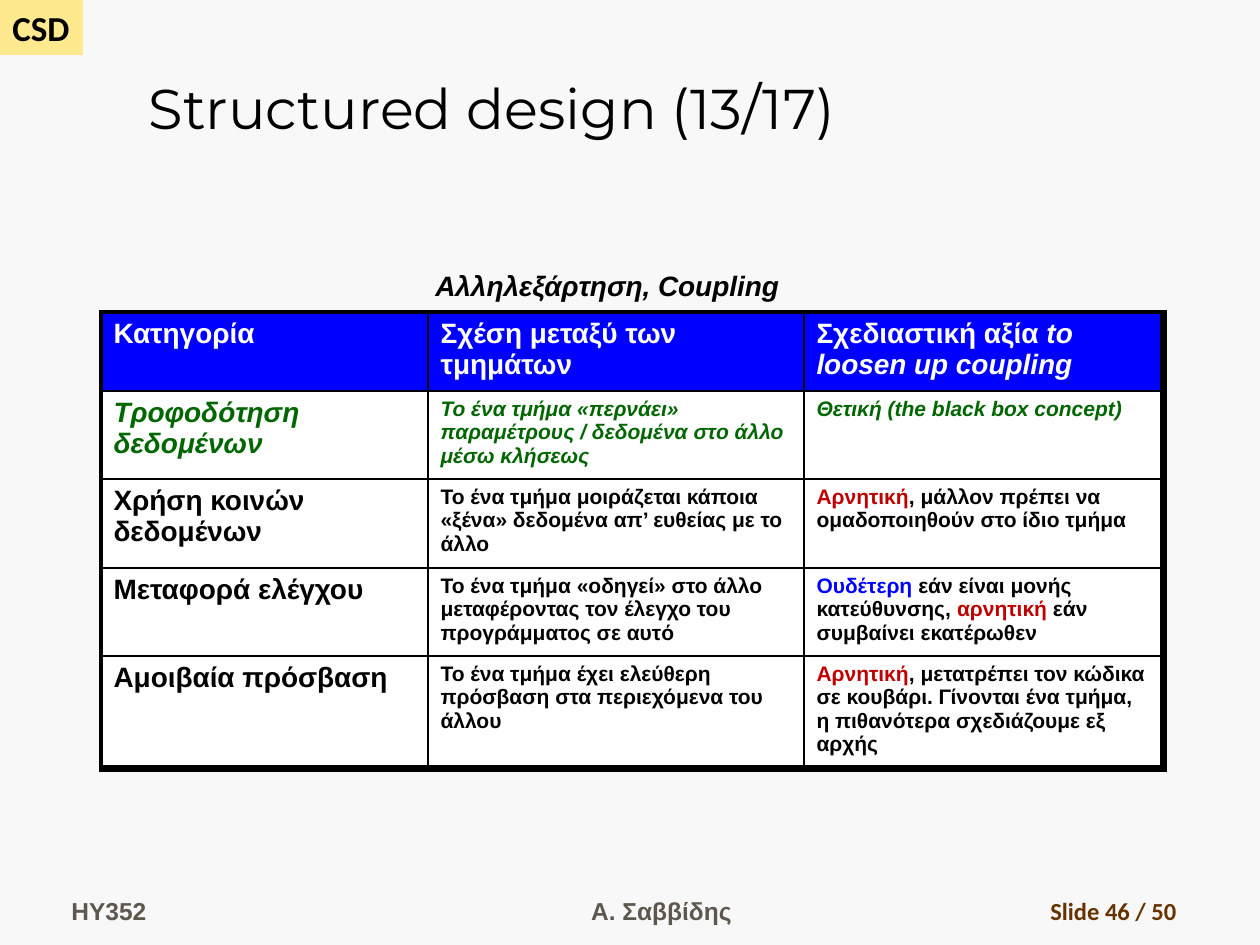
from dataclasses import dataclass
from lxml import etree
from pptx import Presentation
from pptx import util as u
from pptx.dml.color import RGBColor
from pptx.enum import shapes, text
from pptx.oxml.ns import qn

PX = 914400 // 126
ALIGN = text.PP_ALIGN
ANCHOR = text.MSO_ANCHOR


@dataclass(frozen=True)
class Theme:
    """Colours, fonts, type sizes and line widths."""
    back: str = "F8F8F8"
    badge: str = "FFE98F"
    black: str = "000000"
    white: str = "FFFFFF"
    blue: str = "0000FF"
    green: str = "006600"
    red: str = "C00000"
    grey: str = "5E574E"
    brown: str = "663300"
    body: str = "Arial"
    label: str = "Calibri"
    head: str = "Montserrat"
    title: int = 32
    tag: int = 20
    large: int = 16
    foot: int = 14
    small: int = 12
    thin: float = 1
    edge: float = 2.25
    heavy: float = 4.5


class Deck:
    """Holds the theme and the current slide."""

    def __init__(self, theme):
        """Start a one-slide deck with a plain background."""
        self.look = theme
        self.prs = Presentation()
        self.prs.slide_width, self.prs.slide_height = u.Inches(10), u.Inches(7.5)
        self.slide = self.prs.slides.add_slide(self.prs.slide_layouts[5])
        self.paint(self.slide.background.fill, theme.back)

    def paint(self, fill, color):
        """Make a fill solid."""
        fill.solid()
        fill.fore_color.rgb = RGBColor.from_string(color)

    def place(self, shape, box):
        """Move and size a shape in pixels."""
        shape.left, shape.top, shape.width, shape.height = (n * PX for n in box)

    def style(self, run, size, color, font=None, bold=True, italic=False):
        """Format one run."""
        face = run.font
        face.name, face.size = font or self.look.body, u.Pt(size)
        face.bold, face.italic = bold, italic
        face.color.rgb = RGBColor.from_string(color)

    def put(self, frame, words, align=ALIGN.LEFT, anchor=ANCHOR.TOP,
            wrap=True, **kind):
        """Fill a text frame with one formatted line of text."""
        frame.text, frame.word_wrap = words, wrap
        frame.vertical_anchor = anchor
        para = frame.paragraphs[0]
        para.alignment = align
        self.style(para.runs[0], **kind)

    def title(self, words, box):
        """Set the title placeholder."""
        shape = self.slide.shapes.title
        self.place(shape, box)
        self.put(shape.text_frame, words, anchor=ANCHOR.BOTTOM, bold=False,
                 size=self.look.title, color=self.look.black, font=self.look.head)

    def badge(self, words, box):
        """Add the filled corner label."""
        shape = self.slide.shapes.add_shape(
            shapes.MSO_SHAPE.RECTANGLE, *(n * PX for n in box))
        shape.shadow.inherit = False
        shape.line.fill.background()
        self.paint(shape.fill, self.look.badge)
        self.put(shape.text_frame, words, wrap=False, size=self.look.tag,
                 color=self.look.black, font=self.look.label)

    def label(self, words, box, **kind):
        """Add a text box."""
        shape = self.slide.shapes.add_textbox(*(n * PX for n in box))
        self.put(shape.text_frame, words, **kind)

    def border(self, cell, widths):
        """Draw left, right, top and bottom cell borders."""
        props = cell._tc.get_or_add_tcPr()
        for side, width in zip("LRTB", widths):
            line = etree.SubElement(props, qn(f"a:ln{side}"), w=str(u.Pt(width)))
            fill = etree.SubElement(line, qn("a:solidFill"))
            etree.SubElement(fill, qn("a:srgbClr"), val=self.look.black)

    def cell(self, cell, parts, fill, widths, **kind):
        """Fill one cell with (text, style changes) parts."""
        self.border(cell, widths)
        self.paint(cell.fill, fill)
        para = cell.text_frame.paragraphs[0]
        for words, change in parts:
            run = para.add_run()
            run.text = words
            self.style(run, **{**kind, **change})

    def table(self, rows, spot, wides, highs):
        """Add the table: blue header, green first row, heavy outer frame."""
        look = self.look
        grid = self.slide.shapes.add_table(
            len(rows), len(wides), *(n * PX for n in (*spot, sum(wides), sum(highs)))).table
        grid.horz_banding = grid.first_row = False
        for col, wide in zip(grid.columns, wides):
            col.width = wide * PX
        for r, (row, high) in enumerate(zip(rows, highs)):
            grid.rows[r].height = high * PX
            color = {0: look.white, 1: look.green}.get(r, look.black)
            for c, parts in enumerate(row):
                if isinstance(parts, str):
                    parts = [(parts, {})]
                widths = (look.thin if c else look.edge,
                          look.heavy if c == len(wides) - 1 else look.thin,
                          look.thin if r else look.edge,
                          look.heavy if r == len(rows) - 1 else look.thin)
                self.cell(grid.cell(r, c), parts, look.white if r else look.blue,
                          widths, color=color, italic=r == 1,
                          size=look.small if r and c else look.large)


look = Theme()
deck = Deck(look)
red, blue = {"color": look.red}, {"color": look.blue}

ROWS = [
    ["Κατηγορία", "Σχέση μεταξύ των τμημάτων",
     [("Σχεδιαστική αξία ", {}), ("to loosen up coupling", {"italic": True})]],
    ["Τροφοδότηση δεδομένων",
     "Το ένα τμήμα «περνάει» παραμέτρους / δεδομένα στο άλλο μέσω κλήσεως",
     "Θετική (the black box concept)"],
    ["Χρήση κοινών δεδομένων",
     "Το ένα τμήμα μοιράζεται κάποια «ξένα» δεδομένα απ’ ευθείας με το άλλο",
     [("Αρνητική", red), (", μάλλον πρέπει να ομαδοποιηθούν στο ίδιο τμήμα", {})]],
    ["Μεταφορά ελέγχου",
     "Το ένα τμήμα «οδηγεί» στο άλλο μεταφέροντας τον έλεγχο του "
     "προγράμματος σε αυτό",
     [("Ουδέτερη", blue), (" εάν είναι μονής κατεύθυνσης, ", {}),
      ("αρνητική", red), (" εάν συμβαίνει εκατέρωθεν", {})]],
    ["Αμοιβαία πρόσβαση",
     "Το ένα τμήμα έχει ελεύθερη πρόσβαση στα περιεχόμενα του άλλου",
     [("Αρνητική", red),
      (", μετατρέπει τον κώδικα σε κουβάρι. Γίνονται ένα τμήμα, η "
       "πιθανότερα σχεδιάζουμε εξ αρχής", {})]],
]

deck.badge("CSD", (0, 0, 83, 55))
deck.title("Structured design (13/17)", (136, 21, 1124, 126))
deck.table(ROWS, (101, 312), (327, 376, 360), (79, 88, 89, 88, 113))
deck.label("Αλληλεξάρτηση, Coupling", (423, 262, 414, 50), wrap=False,
           size=look.large, color=look.black, italic=True)

FOOT = [
    ("HY352", 59, 276, ALIGN.LEFT, look.grey, look.body),
    ("Α. Σαββίδης", 462, 399, ALIGN.CENTER, look.grey, look.body),
    ("Slide 46 / 50", 927, 262, ALIGN.RIGHT, look.brown, look.label),
]
for words, left, wide, align, color, font in FOOT:
    deck.label(words, (left, 869, wide, 63), align=align, anchor=ANCHOR.BOTTOM,
               size=look.foot, color=color, font=font)

deck.prs.save("out.pptx")
